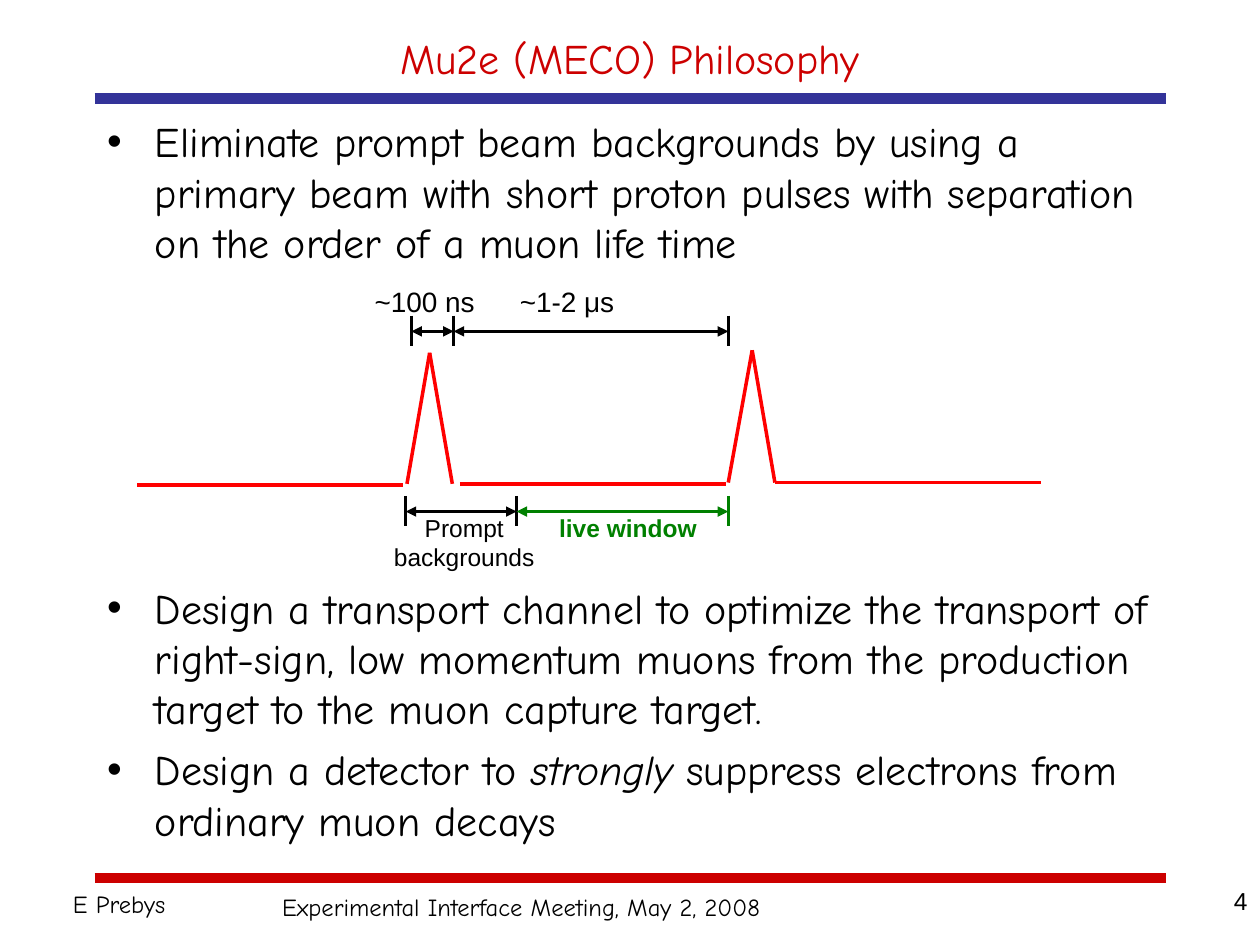
"""Build the pulsed-beam philosophy slide on a grid of 100 columns by 75 rows."""
from lxml import etree
from pptx import Presentation, util as u
from pptx.dml.color import RGBColor
from pptx.enum import shapes, text
from pptx.oxml.ns import qn

BLACK, RED, BLUE, GREEN, PULSE = "000000", "CC0000", "333399", "008000", "FF0000"
CENTER, RIGHT = text.PP_ALIGN.CENTER, text.PP_ALIGN.RIGHT
GROW, FIXED = text.MSO_AUTO_SIZE.SHAPE_TO_FIT_TEXT, text.MSO_AUTO_SIZE.NONE


def rgb(value):
    return RGBColor.from_string(value)


class Deck:
    """Style, grid and current slide."""

    hand, plain = "Comic Neue", "Arial"

    def __init__(self):
        self.prs = Presentation()
        self.prs.slide_width, self.prs.slide_height = u.Inches(10), u.Inches(7.5)
        self.cell = self.prs.slide_width / 100
        self.s = self.prs.slides.add_slide(self.prs.slide_layouts[1])

    def grid(self, *lengths):
        return [round(v * self.cell) for v in lengths]

    def place(self, sp, box):
        for name, value in zip(("left", "top", "width", "height"), self.grid(*box)):
            setattr(sp, name, value)

    def run(self, p, words, color=BLACK, **fmt):
        r = p.add_run()
        r.text = words
        r.font.color.rgb = rgb(color)
        for name, value in fmt.items():
            setattr(r.font, name, value)

    def title(self, box, words):
        sp = self.s.shapes.title
        self.place(sp, box)
        tf = sp.text_frame
        tf.auto_size, tf.vertical_anchor = FIXED, text.MSO_ANCHOR.MIDDLE
        p = tf.paragraphs[0]
        p.alignment = CENTER
        self.run(p, words, RED, size=u.Pt(24), name=self.hand)

    def bullets(self, box, items):
        sp = self.s.placeholders[1]
        self.place(sp, box)
        tf = sp.text_frame
        tf.auto_size = FIXED
        for i, (before, runs) in enumerate(items):
            p = tf.add_paragraph() if i else tf.paragraphs[0]
            pPr = p._p.get_or_add_pPr()
            indent = u.Inches(0.38)
            pPr.set("marL", str(indent))
            pPr.set("indent", str(-indent))
            etree.SubElement(pPr, qn("a:buChar")).set("char", "•")
            p.space_before = u.Pt(before)
            for words, italic in runs:
                self.run(p, words, size=u.Pt(24), name=self.hand, italic=italic)

    def label(self, box, words, size=14, font=plain, align=None, color=BLACK,
              bold=False, wrap=True, fit=GROW):
        tf = self.s.shapes.add_textbox(*self.grid(*box)).text_frame
        tf.word_wrap, tf.auto_size = wrap, fit
        p = tf.paragraphs[0]
        p.alignment = align
        self.run(p, words, color, size=u.Pt(size), name=font, bold=bold)

    def line(self, x1, y1, x2, y2, color, width=0, arrows=False):
        sp = self.s.shapes.add_connector(shapes.MSO_CONNECTOR.STRAIGHT, *self.grid(x1, y1, x2, y2))
        sp.line.color.rgb, sp.line.width = rgb(color), u.Pt(width)
        etree.SubElement(sp._element.spPr, qn("a:effectLst"))
        if arrows:
            for end in ("a:headEnd", "a:tailEnd"):
                etree.SubElement(sp.line._get_or_add_ln(), qn(end)).set("type", "triangle")

    def pulse(self, left, peak, right, top, foot):
        self.line(left, foot, peak, top, PULSE)
        self.line(peak, top, right, foot, PULSE)

    def spans(self, top, stops, colors):
        for x, color in zip(stops, (colors[0], *colors)):
            self.line(x, top, x, top + 2.4, color)
        for x1, x2, color in zip(stops, stops[1:], colors):
            self.line(x1, top + 1.25, x2, top + 1.25, color, arrows=True)


def main():
    d = Deck()
    for y, color in ((69.7, RED), (7.8, BLUE)):
        d.line(7.5, y, 92.5, y, color, width=6)
    d.label((21.4, 70.3, 40.1, 3.4), "Experimental Interface Meeting, May 2, 2008",
            font=d.hand, wrap=False)
    d.label((4.8, 70.1, 27.7, 3.4), "E Prebys", font=d.hand)
    d.label((76.7, 69.8, 23.3, 5.2), "4", align=RIGHT, fit=FIXED)

    d.title((7.5, 1.7, 85, 5.8), "Mu2e (MECO) Philosophy")
    d.bullets((7.5, 8.7, 85, 60.4), [
        (0, [("Eliminate prompt beam backgrounds by using a primary beam with short "
              "proton pulses with separation on the order of a muon life time", False)]),
        (180, [("Design a transport channel to optimize the transport of right-sign, low "
                "momentum muons from the production target to the muon capture target.", False)]),
        (6, [("Design a detector to", False), (" strongly", True),
             (" suppress electrons from ordinary muon decays", False)]),
    ])

    for x, y in ((10.9, 38.5), (36.5, 38.4), (61.5, 38.3)):
        d.line(x, y, x + 21.1, y, PULSE)
    d.pulse(32.3, 34.1, 35.9, 28, 38.4)
    d.pulse(57.8, 59.7, 61.5, 27.8, 38.3)

    d.spans(25.05, (32.65, 36, 57.8), (BLACK, BLACK))
    d.spans(39.35, (32.2, 41, 57.8), (BLACK, GREEN))
    for x, words in ((27.6, "~100 ns"), (38.9, "~1-2 μs")):
        d.label((x, 22.1, 12.2, 3.7), words, size=16, align=CENTER)
    d.label((29.7, 40.2, 14.3, 5.7), "Prompt backgrounds", align=CENTER)
    d.label((42.7, 40.2, 14.3, 3.4), "live window", align=CENTER, color=GREEN, bold=True)

    d.prs.save("out.pptx")


if __name__ == "__main__":
    main()
